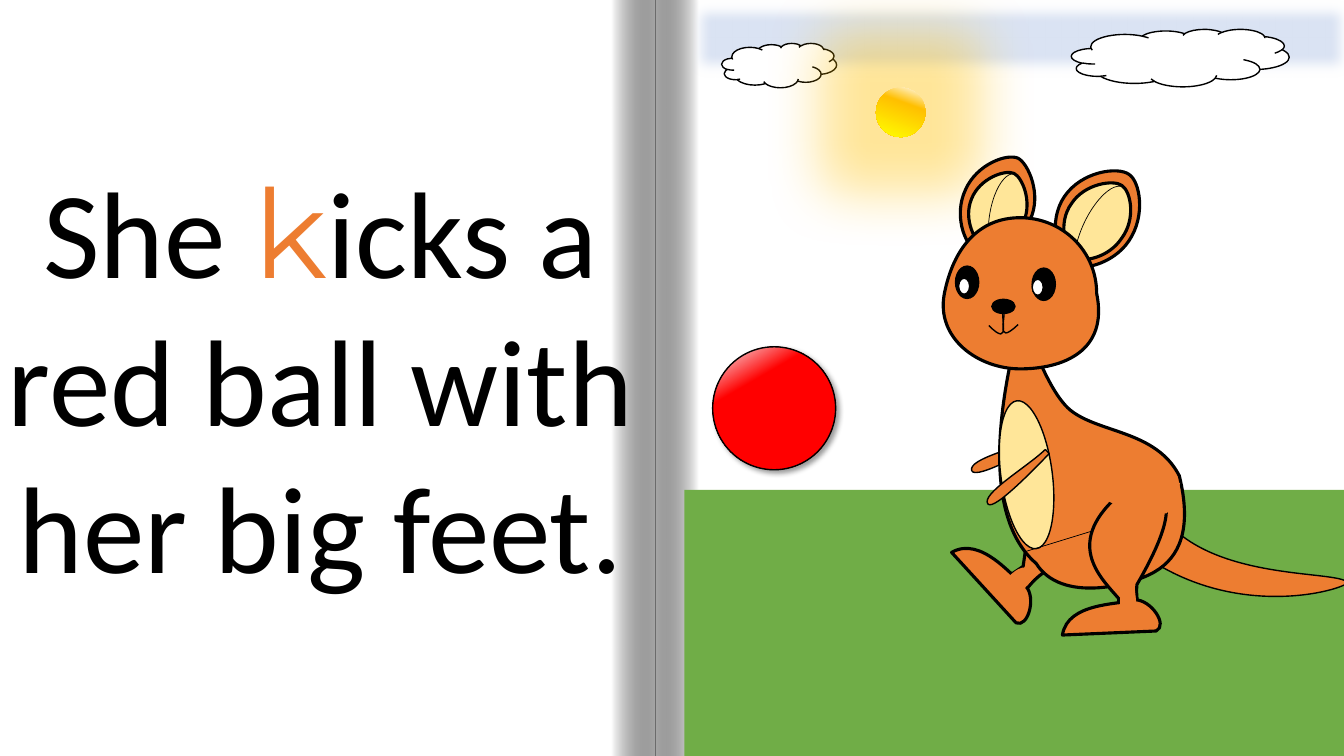
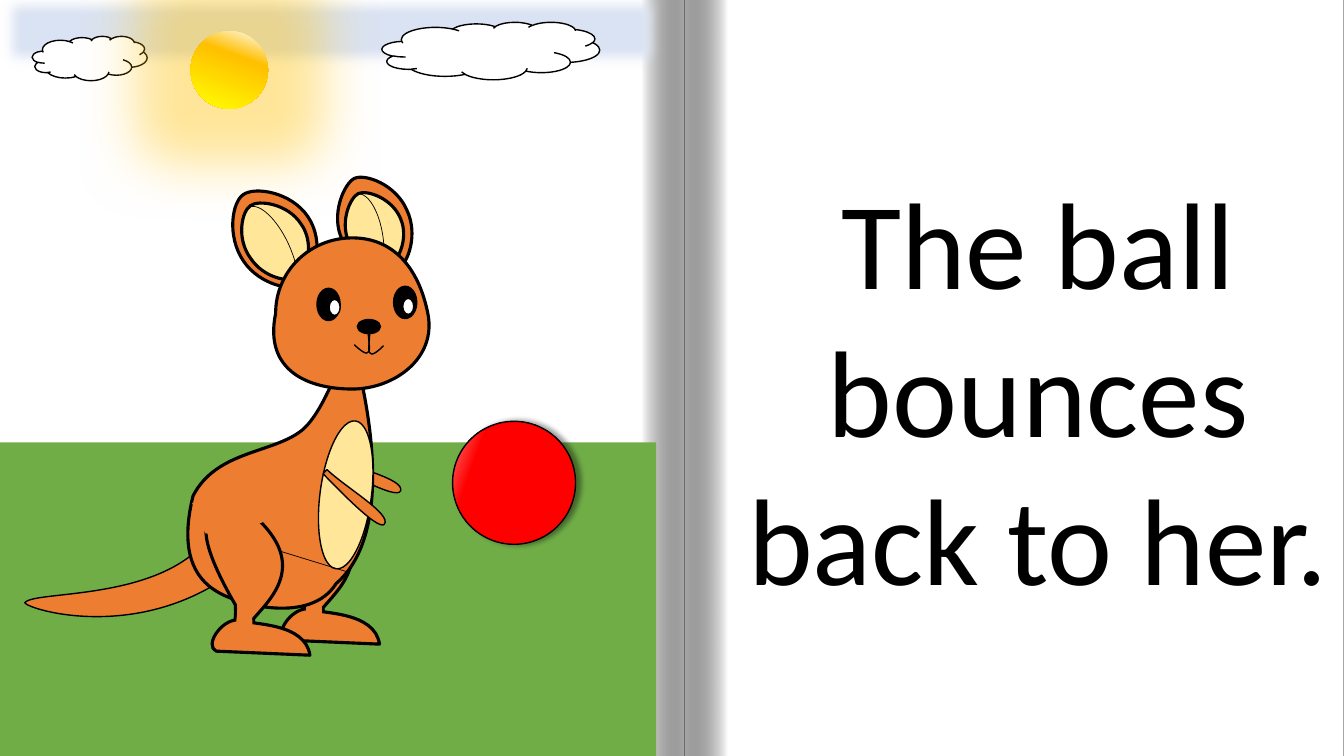
from math import cos, radians, sin

from lxml import etree
from pptx import Presentation
from pptx.dml.color import RGBColor
from pptx.enum.shapes import MSO_CONNECTOR, MSO_SHAPE
from pptx.enum.text import MSO_AUTO_SIZE, PP_ALIGN
from pptx.oxml import parse_xml
from pptx.oxml.ns import nsdecls, qn
from pptx.util import Pt

RECT, OVAL, CLOUD, ARC = MSO_SHAPE.RECTANGLE, MSO_SHAPE.OVAL, MSO_SHAPE.CLOUD, MSO_SHAPE.ARC
ROUND_1 = MSO_SHAPE.ROUND_1_RECTANGLE
STRAIGHT = MSO_CONNECTOR.STRAIGHT
CENTER, GROW = PP_ALIGN.CENTER, MSO_AUTO_SIZE.SHAPE_TO_FIT_TEXT

PX = 9144
MIRROR_X = 1361.5

BLACK = RGBColor(0x00, 0x00, 0x00)
WHITE = RGBColor(0xFF, 0xFF, 0xFF)
SKY = RGBColor(0xDA, 0xE3, 0xF3)
GRASS = RGBColor(0x70, 0xAD, 0x47)
FUR = RGBColor(0xED, 0x7D, 0x31)
CREAM = RGBColor(0xFF, 0xE6, 0x99)
GOLD = RGBColor(0xFF, 0xC0, 0x00)
YELLOW = RGBColor(0xFF, 0xFF, 0x00)
RED = RGBColor(0xFF, 0x00, 0x00)
SHINE = RGBColor(0xF6, 0xF8, 0xFC)

FOLD_STOPS = [(0, WHITE, 100), (100, BLACK, 34)]
SUN_FILL = (110, [(0, WHITE, 100), (34, GOLD, 100), (100, YELLOW, 100)])
BALL_FILL = (60, [(0, SHINE, 100), (30, RED, 100)])

SOFT_EDGE = f'<a:softEdge {nsdecls("a")} rad="139700"/>'
SUN_GLOW = (f'<a:glow {nsdecls("a")} rad="1016000"><a:srgbClr val="{GOLD}">'
            '<a:alpha val="40000"/></a:srgbClr></a:glow>')
BALL_SHADOW = (f'<a:outerShdw {nsdecls("a")} blurRad="50800" dist="38100" dir="%d" '
               f'algn="tl" rotWithShape="0"><a:srgbClr val="{BLACK}">'
               '<a:alpha val="40000"/></a:srgbClr></a:outerShdw>')

EARS_AND_TAIL = [
    ("path", FUR, 2.25, (1049, 162, 78, 108), 34, [
        (1120, 239), (1137, 214, 1131, 180, 1120, 173), (1109, 165, 1073, 170, 1056, 195),
        (1039, 220, 1049, 255, 1060, 262), (1070, 270, 1104, 263, 1120, 239)]),
    ("path", CREAM, 2.25, (1057, 176, 62, 86), 34, [
        (1113, 236), (1127, 217, 1122, 190, 1113, 184), (1105, 178, 1076, 182, 1063, 202),
        (1049, 221, 1057, 249, 1065, 255), (1074, 261, 1100, 256, 1113, 236)]),
    (ARC, None, 0.5, (1073, 181, 41, 101), 24.3, []),
    ("path", FUR, 1, (993, 411, 12, 78), 63.6, [
        (1034, 433), (1037, 438), (1025, 444, 968, 477, 964, 467),
        (960, 455, 1011, 444, 1034, 433)]),
    ("path", FUR, 2.25, (954, 153, 71, 99), 25.3, [
        (958, 188), (969, 163, 999, 152, 1010, 157), (1020, 162, 1034, 193, 1022, 218),
        (1011, 243, 978, 252, 967, 247), (957, 242, 946, 213, 958, 188)]),
    ("path", CREAM, 2.25, (961, 169, 56, 79), 21.9, [
        (1016, 219), (1024, 199, 1014, 176, 1006, 172), (997, 168, 972, 177, 964, 197),
        (955, 218, 968, 241, 976, 245), (985, 248, 1008, 239, 1016, 219)]),
    (ARC, None, 0.5, (981, 172, 40, 96), 6.7, []),
    ("path", FUR, 1, (1135, 523, 195, 80), 30.5, [
        (1151, 509), (1198, 578, 1328, 565, 1337, 578), (1333, 585, 1224, 618, 1129, 547),
        (1151, 509)]),
]
NEAR_LEG = [
    ("path", FUR, 2.25, (1081, 486, 76, 137), 0, [
        (1108, 493), (1141, 486), (1167, 491, 1161, 523, 1128, 580),
        (1126, 602, 1135, 611, 1129, 618), (1127, 615, 1110, 626, 1107, 623),
        (1110, 594), (1094, 575, 1055, 541, 1108, 493)]),
    ("path", FUR, 2.25, (1054, 595, 98, 35), 0, [
        (1054, 630), (1059, 597, 1112, 600, 1126, 595), (1142, 595, 1159, 620, 1147, 626),
        (1054, 630)]),
]
ANKLE = [
    ("path", FUR, 0, (1104, 583, 30, 19), 259.2, [
        (1125, 576), (1108, 581, 1112, 597, 1111, 602), (1111, 606, 1126, 609, 1128, 605),
        (1125, 576)]),
]
KICKING_LEG = [
    ("path", FUR, 2.25, (1013, 475, 76, 137), 50.5, [
        (1091, 496), (1117, 517), (1131, 540, 1102, 556, 1037, 567),
        (1019, 579, 1017, 591, 1008, 592), (1009, 588, 990, 582, 991, 578),
        (1015, 562), (1019, 537, 1021, 485, 1091, 496)]),
    ("path", FUR, 2.25, (940, 557, 98, 35), 50.5, [
        (944, 548), (974, 531, 1005, 574, 1018, 582), (1028, 593, 1020, 623, 1008, 618),
        (944, 548)]),
    ("path", FUR, 0, (998, 561, 30, 23), 305.1, [
        (1031, 567), (1012, 556, 1005, 570, 1000, 572), (997, 576, 1007, 590, 1012, 589),
        (1031, 567)]),
]
STANDING_LEG = [
    (kind, fill, weight, (x - 69, y - 11, w, h), rot,
     [tuple(v - (69, 11)[i % 2] for i, v in enumerate(seg)) for seg in segs])
    for kind, fill, weight, (x, y, w, h), rot, segs in NEAR_LEG + ANKLE
]
BODY = [
    ("path", FUR, 2.25, (976, 315, 171, 279), 330.3, [
        (1146, 567), (1123, 581, 1053, 599, 1028, 559), (963, 503, 1004, 353, 1010, 327),
        (1015, 302, 1033, 383, 1062, 407), (1091, 430, 1147, 427, 1170, 472),
        (1183, 525, 1170, 553, 1146, 567)]),
]
BELLY_AND_FACE = [
    (OVAL, CREAM, 1, (993, 397, 51, 148), 352.5, []),
    ("line", None, 0.5, (1018, 527, 65, 20), 0, [(1018, 547), (1083, 527)]),
    ("path", FUR, 2.25, (936, 216, 154, 151), 0, [
        (937, 291), (946, 246, 971, 216, 1012, 216), (1054, 216, 1088, 249, 1088, 291),
        (1100, 349, 1054, 366, 1012, 366), (971, 366, 928, 336, 937, 291)]),
    ("path", FUR, 0, (1118, 456, 32, 70), 276.3, [
        (1171, 479), (1104, 474, 1108, 492, 1098, 495), (1096, 500, 1146, 512, 1158, 509),
        (1171, 479)]),
    (OVAL, BLACK, 1, (1024, 266, 23, 32), 0, []),
    (OVAL, BLACK, 1, (948, 264, 23, 32), 0, []),
    (OVAL, WHITE, 1, (951, 276, 11, 16), 0, []),
    (OVAL, WHITE, 1, (1024, 277, 11, 16), 0, []),
    (OVAL, BLACK, 1, (984, 297, 23, 14), 0, []),
    ("path", None, 1, (995, 306, 15, 25), 0, [(995, 306), (1000, 311, 985, 346, 1010, 322)]),
    ("path", None, 1, (981, 306, 15, 25), 0, [(996, 306), (991, 312, 1005, 347, 981, 323)]),
]
NEAR_ARM = [
    ("path", FUR, 1, (1003, 434, 12, 78), 46.6, [
        (1037, 446), (1041, 450), (1032, 459, 986, 508, 980, 500),
        (973, 490, 1018, 464, 1037, 446)]),
]

SLIDES = [
    dict(page=(-1, 1347), spine=650, text=(-7, 149, 650, 454),
         runs=[("She ", "Calibri", BLACK), ("k", "Montserrat", FUR),
               ("icks a red ball with her big feet.", "Calibri", BLACK)],
         sky=(679, -5), grass=(ROUND_1, 679, 486, 687, 289), sun=(869, 87, 49),
         ball=(707, 344), ball_rot=0, shadow_dir=45, far_leg=KICKING_LEG, mirrored=False),
    dict(page=(0, 1333), spine=679, text=(716, 160, 628, 454),
         runs=[("The ball bounces back to her.", "Calibri", BLACK)],
         sky=(-5, -12), grass=(RECT, -1, 439, 652, 416), sun=(189, 31, 77),
         ball=(449, 418), ball_rot=319.9, shadow_dir=0, far_leg=STANDING_LEG, mirrored=True),
]


def paint(sp, fill, weight=0, color=BLACK, effect=None):
    sp.shadow.inherit = False
    if fill is None:
        sp.fill.background()
    elif isinstance(fill, RGBColor):
        sp.fill.solid()
        sp.fill.fore_color.rgb = fill
    else:
        angle, stops = fill
        sp.fill.gradient()
        sp.fill.gradient_angle = 360 - angle
        gs_lst = sp._element.spPr.find(qn("a:gradFill")).find(qn("a:gsLst"))
        for gs in list(gs_lst):
            gs_lst.remove(gs)
        for pos, rgb, alpha in stops:
            gs = etree.SubElement(gs_lst, qn("a:gs"), pos=str(pos * 1000))
            clr = etree.SubElement(gs, qn("a:srgbClr"), val=str(rgb))
            if alpha < 100:
                etree.SubElement(clr, qn("a:alpha"), val=str(alpha * 1000))
    if weight:
        sp.line.color.rgb = color
        sp.line.width = Pt(weight)
    else:
        sp.line.fill.background()
    if effect:
        sp._element.spPr.find(qn("a:effectLst")).append(parse_xml(effect))


def add(shapes, kind, *box):
    return shapes.add_shape(kind, *[round(v * PX) for v in box])


prs = Presentation()
prs.slide_width = 4000 * PX // 3
prs.slide_height = 750 * PX

for scene in SLIDES:
    s = prs.slides.add_slide(prs.slide_layouts[6])
    s.background.fill.solid()
    s.background.fill.fore_color.rgb = BLACK

    book = s.shapes.add_group_shape().shapes
    page_x, page_w = scene["page"]
    paint(add(book, RECT, page_x, 0, page_w, 750), WHITE)
    for fold_x, angle in ((scene["spine"], 180), (scene["spine"] - 43, 0)):
        paint(add(book, RECT, fold_x, 0, 43, 750), (angle, FOLD_STOPS))

    tb = s.shapes.add_textbox(*[v * PX for v in scene["text"]])
    tf = tb.text_frame
    tf.word_wrap = True
    tf.auto_size = GROW
    p = tf.paragraphs[0]
    p.alignment = CENTER
    for text, font, color in scene["runs"]:
        r = p.add_run()
        r.text = text
        r.font.name = font
        r.font.size = Pt(88)
        r.font.color.rgb = color

    sky_x, sky_y = scene["sky"]
    paint(add(s.shapes, RECT, sky_x, sky_y, 667, 85), SKY, 1, SKY, SOFT_EDGE)
    for dx, dy, w, h in ((37, 48, 114, 44), (384, 34, 216, 57)):
        paint(add(s.shapes, CLOUD, sky_x + dx, sky_y + dy, w, h), WHITE, 1)
    meadow = add(s.shapes, *scene["grass"])
    if len(meadow.adjustments):
        meadow.adjustments[0] = 0
    paint(meadow, GRASS)
    sun_x, sun_y, sun_d = scene["sun"]
    paint(add(s.shapes, OVAL, sun_x, sun_y, sun_d, sun_d), SUN_FILL, effect=SUN_GLOW)

    kangaroo = s.shapes.add_group_shape().shapes
    mirrored = scene["mirrored"]
    origin, sign, drop = (MIRROR_X, -1, 20) if mirrored else (0, 1, 0)
    parts = (EARS_AND_TAIL + scene["far_leg"] + BODY + NEAR_LEG
             + BELLY_AND_FACE + ANKLE + NEAR_ARM)
    for kind, fill, weight, (x, y, w, h), rot, segs in parts:
        x, y = origin - x - w if mirrored else x, y + drop
        rot = sign * rot % 360
        placed = [[(origin + sign * px, py + drop) for px, py in zip(seg[::2], seg[1::2])]
                  for seg in segs]
        if kind == "line":
            ends = [round(v * PX) for pts in placed for v in pts[0]]
            cxn = kangaroo.add_connector(STRAIGHT, *ends)
            cxn.line.color.rgb = BLACK
            cxn.line.width = Pt(weight)
            etree.SubElement(cxn._element.spPr, qn("a:effectLst"))
            continue
        if kind == "path":
            left, top, right, bottom = [round(v * PX) for v in (x, y, x + w, y + h)]
            builder = kangaroo.build_freeform(left, top)
            builder.add_line_segments([(right, top), (right, bottom), (left, bottom)], close=False)
            sp = builder.convert_to_shape()
            outline = next(sp._element.iter(qn("a:path")))
            for step in list(outline):
                outline.remove(step)
            c, n = cos(radians(rot)), sin(radians(rot))
            for i, pts in enumerate(placed):
                tag = "a:moveTo" if i == 0 else "a:cubicBezTo" if len(pts) == 3 else "a:lnTo"
                step = etree.SubElement(outline, qn(tag))
                for px, py in pts:
                    dx, dy = px - x - w / 2, py - y - h / 2
                    etree.SubElement(step, qn("a:pt"),
                                     x=str(round((dx * c + dy * n + w / 2) * PX)),
                                     y=str(round((dy * c - dx * n + h / 2) * PX)))
            if fill is not None:
                etree.SubElement(outline, qn("a:close"))
        else:
            sp = add(kangaroo, kind, x, y, w, h)
        if kind == ARC:
            sp.adjustments[1] = 29.98
            if not mirrored:
                sp._element.spPr.find(qn("a:xfrm")).set("flipH", "1")
        sp.rotation = rot
        paint(sp, fill, weight)

    ball_x, ball_y = scene["ball"]
    ball = add(s.shapes, OVAL, ball_x, ball_y, 122, 122)
    ball.rotation = scene["ball_rot"]
    paint(ball, BALL_FILL, 1, effect=BALL_SHADOW % (scene["shadow_dir"] * 60000))

prs.save("out.pptx")
